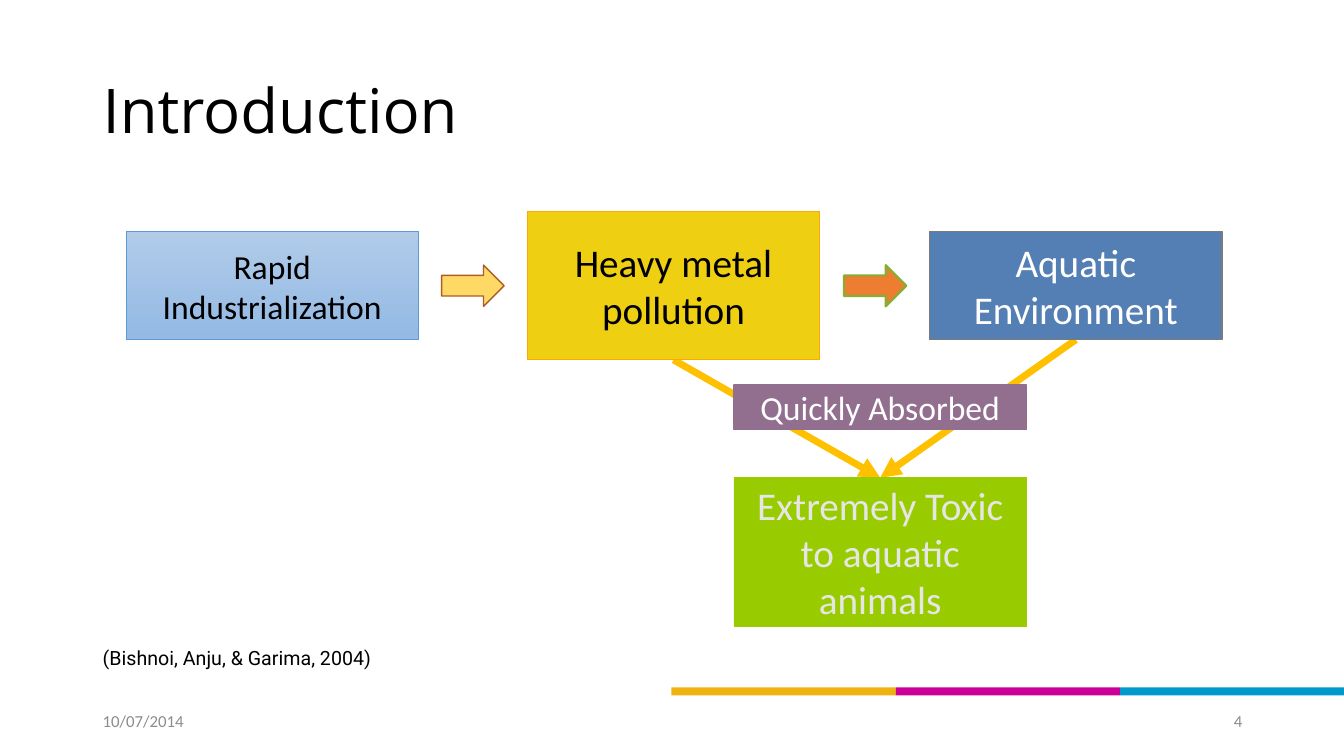
from lxml import etree
from pptx import Presentation
from pptx.dml.color import RGBColor
from pptx.enum.shapes import MSO_CONNECTOR, MSO_SHAPE as SHAPE
from pptx.enum.text import MSO_ANCHOR as ANCHOR, PP_ALIGN as ALIGN
from pptx.oxml.ns import qn
from pptx.util import Inches, Pt


def rgb(value):
    return RGBColor.from_string(value)


def write(sp, text, size, color, font="Calibri", align=ALIGN.CENTER,
          anchor=ANCHOR.MIDDLE, wrap=True):
    tf = sp.text_frame
    tf.word_wrap = wrap
    tf.vertical_anchor = anchor
    p = tf.paragraphs[0]
    p.alignment = align
    r = p.add_run()
    r.text = text
    for name, value in {"size": Pt(size), "name": font}.items():
        setattr(r.font, name, value)
    r.font.color.rgb = rgb(color)
    return p


prs = Presentation()
prs.slide_width, prs.slide_height = Inches(13.33), Inches(7.5)
s = prs.slides.add_slide(prs.slide_layouts[6])

stripe_w = 2.225
for i, color in enumerate(["EEB211", "CC0099", "0099CC"]):
    sp = s.shapes.add_shape(SHAPE.RECTANGLE, Inches(6.66 + i * stripe_w),
                            Inches(6.82), Inches(stripe_w), Inches(0.08))
    sp.shadow.inherit = False
    sp.fill.solid()
    sp.fill.fore_color.rgb = rgb(color)
    sp.line.fill.background()

title = s.shapes.add_textbox(Inches(0.92), Inches(0.4), Inches(11.5), Inches(1.45))
write(title, "Introduction", 44, "000000", "Open Sans", ALIGN.LEFT).line_spacing = 0.9

for left, text, align in [(0.92, "10/07/2014", ALIGN.LEFT), (9.42, "4", ALIGN.RIGHT)]:
    sp = s.shapes.add_textbox(Inches(left), Inches(6.95), Inches(3), Inches(0.4))
    write(sp, text, 12, "8C8C8C", align=align)

citation = s.shapes.add_textbox(Inches(0.92), Inches(6.36), Inches(2.92), Inches(0.34))
write(citation, "(Bishnoi, Anju, & Garima, 2004)", 14, "000000", "Roboto",
      ALIGN.LEFT, ANCHOR.TOP, False)

for left, fill, line, weight in [(4.38, "FFD966", "AF5C24", 1),
                                 (8.37, "ED7D31", "83AF33", 1.5)]:
    sp = s.shapes.add_shape(SHAPE.RIGHT_ARROW, Inches(left), Inches(2.63),
                            Inches(0.62), Inches(0.41))
    sp.shadow.inherit = False
    sp.fill.solid()
    sp.fill.fore_color.rgb = rgb(fill)
    sp.line.color.rgb = rgb(line)
    sp.line.width = Pt(weight)

for x, y in [(6.68, 3.57), (10.67, 3.37)]:
    c = s.shapes.add_connector(MSO_CONNECTOR.STRAIGHT, Inches(x), Inches(y),
                               Inches(8.73), Inches(4.74))
    c.line.color.rgb = rgb("FFC000")
    c.line.width = Pt(5)
    etree.SubElement(c.line._get_or_add_ln(), qn("a:tailEnd"), type="triangle")
    etree.SubElement(c._element.spPr, qn("a:effectLst"))

boxes = [
    (1.25, 2.3, 1.07, ["B1CBE9", "93B9E4"], "5B9BD5", 0.5,
     "Rapid Industrialization", 24, "000000"),
    (5.23, 2.1, 1.47, ["EECF12"], "FCA904", 0.5, "Heavy metal pollution", 28, "000000"),
    (9.22, 2.3, 1.07, ["537FB5"], "7A7A7A", 1, "Aquatic Environment", 28, "FFFFFF"),
    (7.28, 4.74, 1.47, ["99CC00"], "99CC00", 0.5,
     "Extremely Toxic to aquatic animals", 28, "E7E6E6"),
    (7.28, 3.82, 0.44, ["926E8F"], "926E8F", 1, "Quickly Absorbed", 24, "FFFFFF"),
]
for left, top, height, fills, line, weight, text, size, color in boxes:
    sp = s.shapes.add_shape(SHAPE.RECTANGLE, Inches(left), Inches(top),
                            Inches(2.9), Inches(height))
    sp.shadow.inherit = False
    if len(fills) > 1:
        sp.fill.gradient()
        sp.fill.gradient_angle = 270
        for stop, fill in zip(sp.fill.gradient_stops, fills):
            stop.color.rgb = rgb(fill)
    else:
        sp.fill.solid()
        sp.fill.fore_color.rgb = rgb(fills[0])
    sp.line.color.rgb = rgb(line)
    sp.line.width = Pt(weight)
    write(sp, text, size, color)

prs.save("out.pptx")
